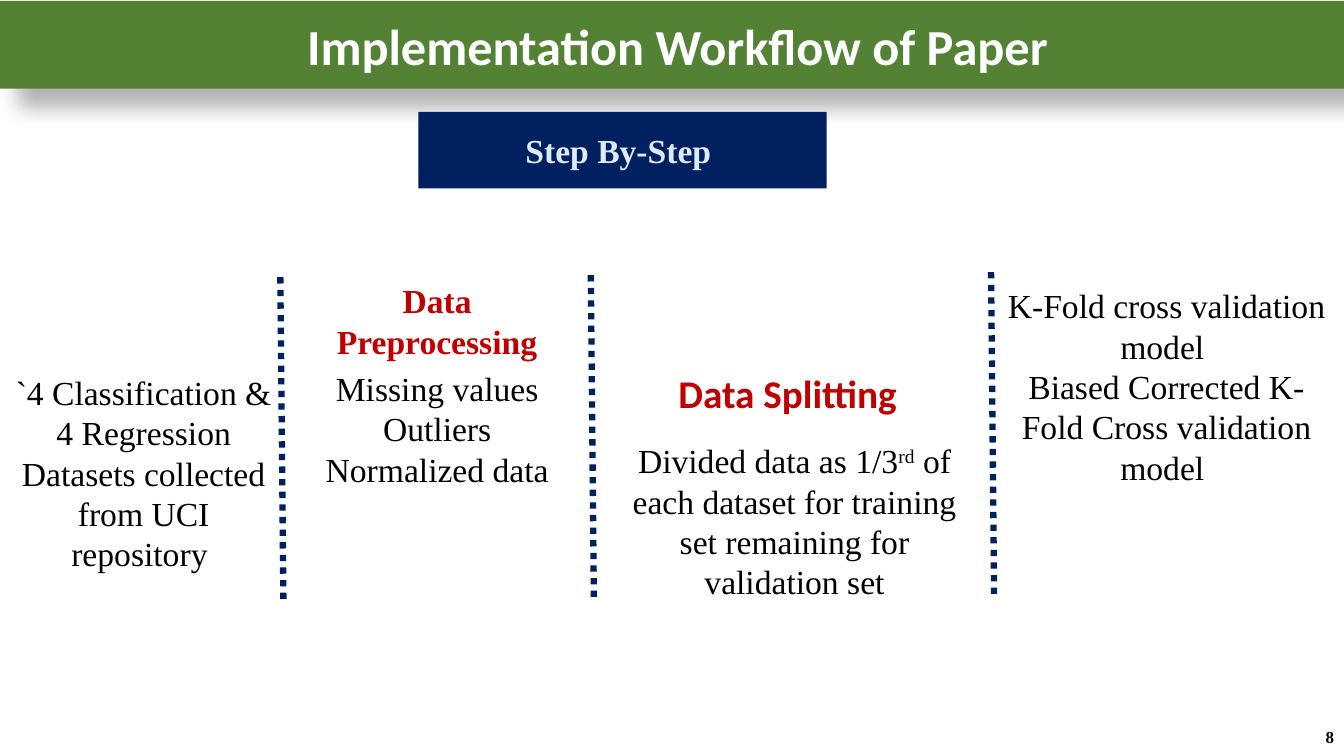
"""Build the implementation workflow slide: a title, a step banner and four divided columns."""
from lxml import etree
from pptx import Presentation
from pptx.dml.color import RGBColor
from pptx.enum.dml import MSO_LINE
from pptx.enum.shapes import MSO_CONNECTOR, MSO_SHAPE
from pptx.enum.text import MSO_ANCHOR, MSO_AUTO_SIZE, PP_ALIGN
from pptx.oxml import parse_xml
from pptx.oxml.ns import nsdecls, qn
from pptx.util import Inches, Pt

GREEN = RGBColor(0x54, 0x82, 0x35)
NAVY = RGBColor(0x00, 0x20, 0x60)
PALE_BLUE = RGBColor(0xDE, 0xEB, 0xF7)
RED = RGBColor(0xC0, 0x00, 0x00)
BLACK = RGBColor(0x00, 0x00, 0x00)
WHITE = RGBColor(0xFF, 0xFF, 0xFF)
SERIF, SANS = "Times New Roman", "Calibri"
LEFT, CENTER, RIGHT = PP_ALIGN.LEFT, PP_ALIGN.CENTER, PP_ALIGN.RIGHT
TOP, MIDDLE = MSO_ANCHOR.TOP, MSO_ANCHOR.MIDDLE
DOTTED = MSO_LINE.ROUND_DOT
SUPERSCRIPT = "30000"

deck = Presentation()
deck.slide_width, deck.slide_height = Inches(13.33), Inches(7.5)
page = deck.slides.add_slide(deck.slide_layouts[5])


def share(left, top, width, height):
    """Turn percentages of the slide into lengths."""
    across, down = deck.slide_width / 100, deck.slide_height / 100
    return int(left * across), int(top * down), int(width * across), int(height * down)


def write(box, paragraphs, align=CENTER, anchor=TOP, wrap=True, **formats):
    """Fill a box with paragraphs, each a list of runs; every second run is raised."""
    frame = box.text_frame
    frame.auto_size = MSO_AUTO_SIZE.NONE
    frame.word_wrap, frame.vertical_anchor = wrap, anchor
    for index, runs in enumerate(paragraphs):
        para = frame.add_paragraph() if index else frame.paragraphs[0]
        para.alignment = align
        for position, text in enumerate(runs):
            span = para.add_run()
            span.text = text
            look = {"name": SERIF, "size": Pt(24), "bold": False} | formats
            color = look.pop("color", BLACK)
            for name, value in look.items():
                setattr(span.font, name, value)
            span.font.color.rgb = color
            if position % 2:
                span.font._element.set("baseline", SUPERSCRIPT)


for x, y in [(20.86, 36.67), (43.96, 36.4), (73.74, 36)]:
    left, top, drift, height = share(x, y, 0.23, 43.07)
    divider = page.shapes.add_connector(
        MSO_CONNECTOR.STRAIGHT, left, top, left + drift, top + height)
    divider.line.color.rgb = NAVY
    divider.line.width = Pt(4.5)
    divider.line.dash_style = DOTTED
    etree.SubElement(divider._element.spPr, qn("a:effectLst"))

heading = {"color": RED, "bold": True}
texts = [
    ((77.5, 94.8, 22.5, 5.33), [["8"]],
     {"align": RIGHT, "anchor": MIDDLE, "size": Pt(12), "bold": True}),
    ((0, 48.53, 21.38, 28.27),
     [["`4 Classification & 4 Regression Datasets collected from UCI repository "]], {}),
    ((21.53, 36.4, 21.98, 21.07), [["Data Preprocessing"]], heading),
    ((22.06, 48, 20.93, 17.47),
     [["Missing values"], ["Outliers"], ["Normalized data"]], {}),
    ((49.74, 48.13, 18.75, 7.6), [["Data Splitting"]],
     heading | {"name": SANS, "size": Pt(28), "align": LEFT, "wrap": False}),
    ((44.86, 57.6, 28.51, 22.93),
     [["Divided data as 1/3", "rd",
       " of each dataset for training set remaining for validation set"]], {}),
    ((73.59, 37.07, 26.41, 28.27),
     [["K-Fold cross validation model "],
      ["Biased Corrected K-Fold Cross validation model "]], {}),
]
for area, paragraphs, formats in texts:
    write(page.shapes.add_textbox(*share(*area)), paragraphs, **formats)

banner = page.shapes.add_shape(MSO_SHAPE.RECTANGLE, *share(31.13, 14.8, 30.38, 10.13))
banner.shadow.inherit = False
banner.fill.solid()
banner.fill.fore_color.rgb = NAVY
banner.line.fill.background()
write(banner, [["Step By-Step "]], anchor=MIDDLE, color=PALE_BLUE, bold=True)

title = page.shapes.title
title.left, title.top, title.width, title.height = share(0, 0.13, 100, 11.6)
title.fill.solid()
title.fill.fore_color.rgb = GREEN
title._element.spPr.append(parse_xml(
    f'<a:effectLst {nsdecls("a")}><a:outerShdw blurRad="{Pt(15)}" dist="{Pt(18)}" '
    'dir="2700000" algn="tl" rotWithShape="0"><a:srgbClr val="000000">'
    '<a:alpha val="30000"/></a:srgbClr></a:outerShdw></a:effectLst>'))
write(title, [[" Implementation Workflow of Paper"]], anchor=MIDDLE,
      name=SANS, size=Pt(36), color=WHITE, bold=True)

deck.save("out.pptx")
